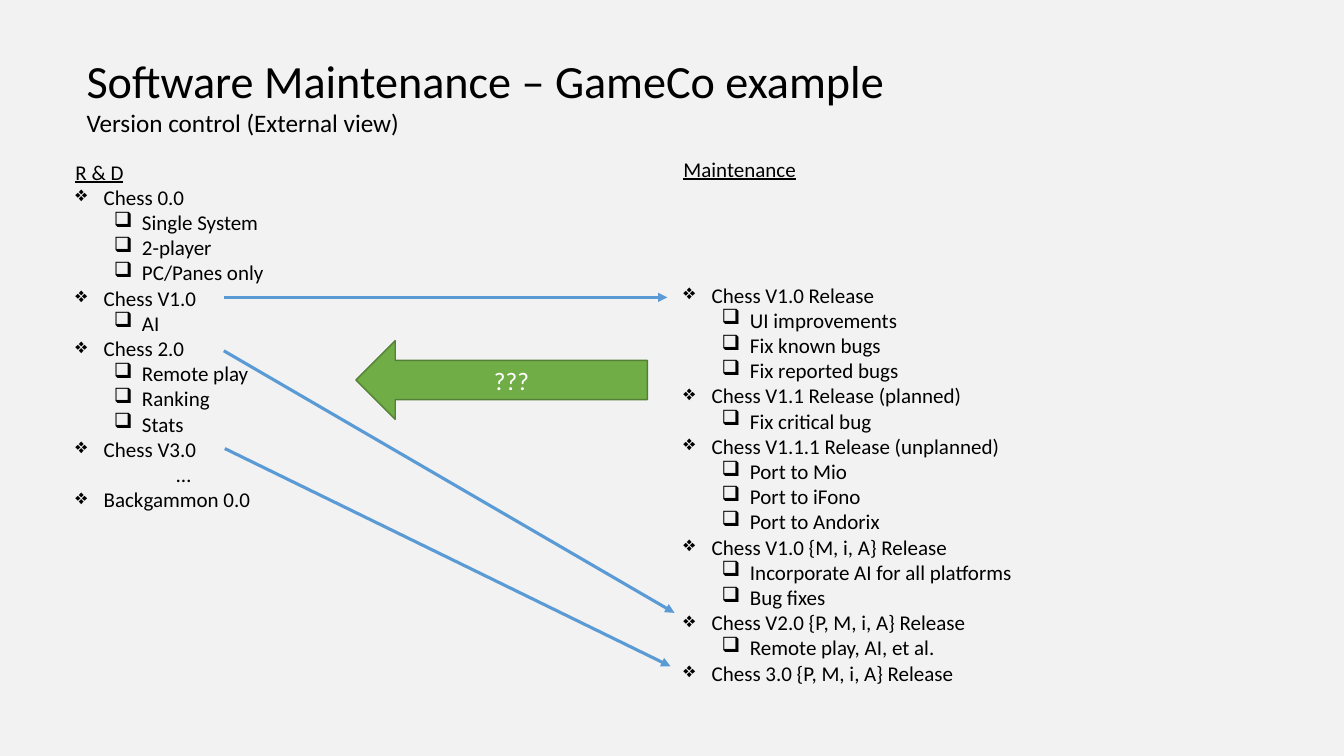
from lxml import etree
from pptx import Presentation
from pptx.dml.color import RGBColor
from pptx.enum.shapes import MSO_CONNECTOR as CONN, MSO_SHAPE as SHAPE
from pptx.enum.text import MSO_ANCHOR as ANCHOR, PP_ALIGN as ALIGN
from pptx.oxml.ns import qn
from pptx.util import Inches, Pt

BULLETS = ("❖", "❑")
INDENTS = (0.28, 0.66)
HANG = 0.28
LINE_PT = 18

RD_ITEMS = [
    (0, "Chess 0.0"),
    (1, "Single System"),
    (1, "2-player"),
    (1, "PC/Panes only"),
    (0, "Chess V1.0"),
    (1, "AI"),
    (0, "Chess 2.0"),
    (1, "Remote play"),
    (1, "Ranking"),
    (1, "Stats"),
    (0, "Chess V3.0"),
    (None, "…"),
    (0, "Backgammon 0.0"),
]
MAINTENANCE_ITEMS = [
    (0, "Chess V1.0 Release"),
    (1, "UI improvements"),
    (1, "Fix known bugs"),
    (1, "Fix reported bugs"),
    (0, "Chess V1.1 Release (planned)"),
    (1, "Fix critical bug"),
    (0, "Chess V1.1.1 Release (unplanned)"),
    (1, "Port to Mio"),
    (1, "Port to iFono"),
    (1, "Port to Andorix"),
    (0, "Chess V1.0 {M, i, A} Release"),
    (1, "Incorporate AI for all platforms"),
    (1, "Bug fixes"),
    (0, "Chess V2.0 {P, M, i, A} Release"),
    (1, "Remote play, AI, et al."),
    (0, "Chess 3.0 {P, M, i, A} Release"),
]
RELEASE_ARROWS = [
    ((2.22, 2.95), (6.62, 2.95)),
    ((2.22, 3.48), (6.69, 6.08)),
    ((2.23, 4.45), (6.65, 6.61)),
]


def rgb(value):
    """Turn a hex string into a colour."""
    return RGBColor.from_string(value)


def add_text(p, text, size=15, color="000000", underline=False, align=ALIGN.LEFT):
    """Write one formatted run into a paragraph."""
    p.alignment = align
    r = p.add_run()
    r.text = text
    r.font.name = "Calibri"
    r.font.size = Pt(size)
    r.font.color.rgb = rgb(color)
    r.font.underline = underline


def add_box(slide, x, y, w, h):
    """Add a wrapping text box and return its text frame."""
    tf = slide.shapes.add_textbox(Inches(x), Inches(y), Inches(w), Inches(h)).text_frame
    tf.word_wrap = True
    return tf


def indent(p, left, hang=0, bullet=None):
    """Indent a paragraph and give it an optional bullet."""
    pPr = p._p.get_or_add_pPr()
    pPr.set("marL", str(Inches(left)))
    pPr.set("indent", str(-Inches(hang)))
    if bullet:
        etree.SubElement(pPr, qn("a:buChar")).set("char", bullet)


def add_title(slide, x, y, w, h):
    """Place the title and the line under it."""
    tf = add_box(slide, x, y, w, h)
    add_text(tf.paragraphs[0], "Software Maintenance – GameCo example", size=33)
    add_text(tf.add_paragraph(), "Version control (External view)", size=18)


def add_column(slide, x, y, w, h, heading, items, skipped_lines=0):
    """Place an underlined heading and its two-level list."""
    tf = add_box(slide, x, y, w, h)
    p = tf.paragraphs[0]
    p.line_spacing = Pt(LINE_PT)
    p.space_after = Pt(skipped_lines * LINE_PT)
    add_text(p, heading, underline=True)
    for level, text in items:
        p = tf.add_paragraph()
        p.line_spacing = Pt(LINE_PT)
        if level is None:
            indent(p, 1)
        else:
            p.level = level
            indent(p, INDENTS[level], HANG, BULLETS[level])
        add_text(p, text)


def add_release_arrow(slide, start, end):
    """Draw an arrow from a development version to its release."""
    points = [Inches(v) for v in (*start, *end)]
    line = slide.shapes.add_connector(CONN.STRAIGHT, *points)
    line.line.color.rgb = rgb("5B9BD5")
    line.line.width = Pt(2.25)
    etree.SubElement(line.line._get_or_add_ln(), qn("a:tailEnd")).set("type", "triangle")
    etree.SubElement(line._element.spPr, qn("a:effectLst"))


def add_feedback_arrow(slide, x, y, w, h):
    """Place the green arrow that points back to development."""
    sp = slide.shapes.add_shape(SHAPE.LEFT_ARROW, Inches(x), Inches(y), Inches(w), Inches(h))
    sp.shadow.inherit = False
    sp.fill.solid()
    sp.fill.fore_color.rgb = rgb("70AD47")
    sp.line.color.rgb = rgb("538035")
    sp.line.width = Pt(1)
    tf = sp.text_frame
    tf.vertical_anchor = ANCHOR.MIDDLE
    add_text(tf.paragraphs[0], "???", size=18, color="FFFFFF", align=ALIGN.CENTER)


def main():
    """Build the slide and save it."""
    prs = Presentation()
    prs.slide_width, prs.slide_height = Inches(13.33), Inches(7.5)
    slide = prs.slides.add_slide(prs.slide_layouts[6])
    slide.background.fill.solid()
    slide.background.fill.fore_color.rgb = rgb("F2F2F2")
    add_title(slide, 0.76, 0.47, 11.15, 0.96)
    add_column(slide, 0.65, 1.53, 5.28, 3.64, "R & D", RD_ITEMS)
    add_column(slide, 6.68, 1.5, 5.28, 5.4, "Maintenance", MAINTENANCE_ITEMS, skipped_lines=4)
    for start, end in RELEASE_ARROWS:
        add_release_arrow(slide, start, end)
    add_feedback_arrow(slide, 3.53, 3.38, 2.89, 0.78)
    prs.save("out.pptx")


if __name__ == "__main__":
    main()
